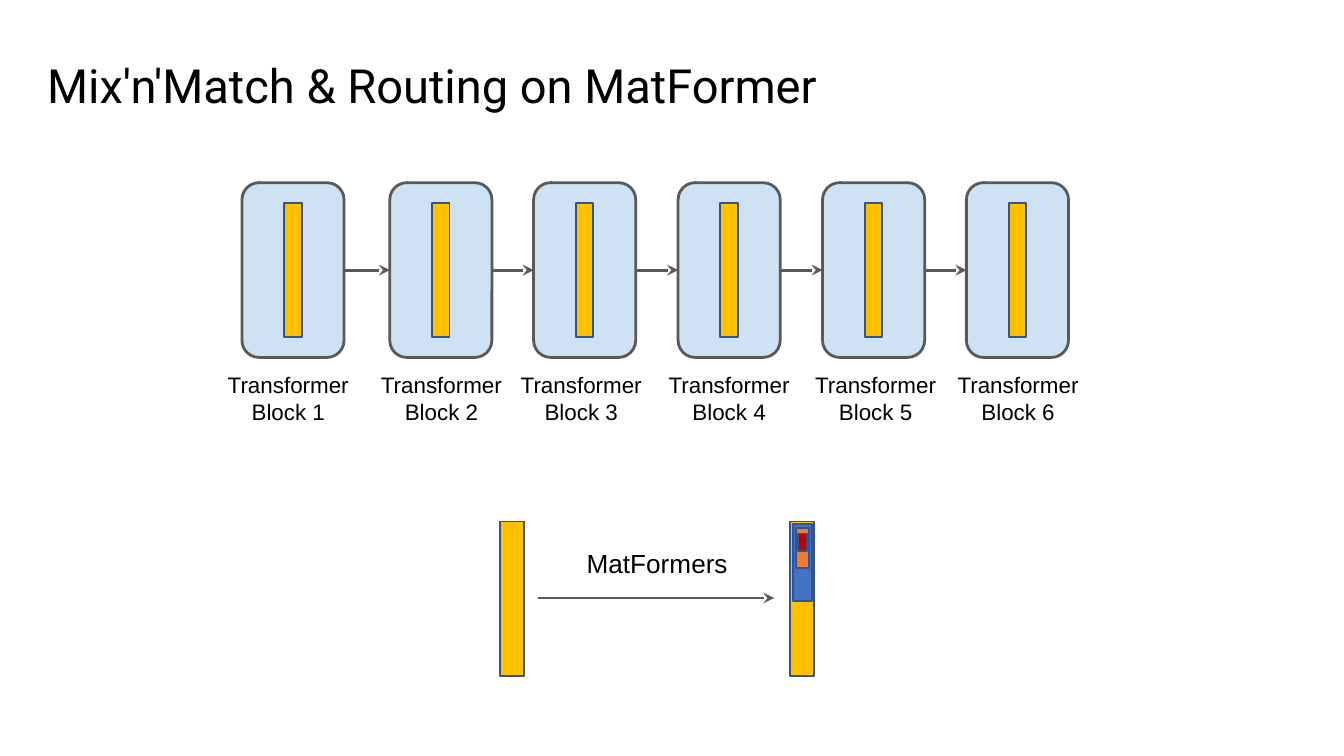
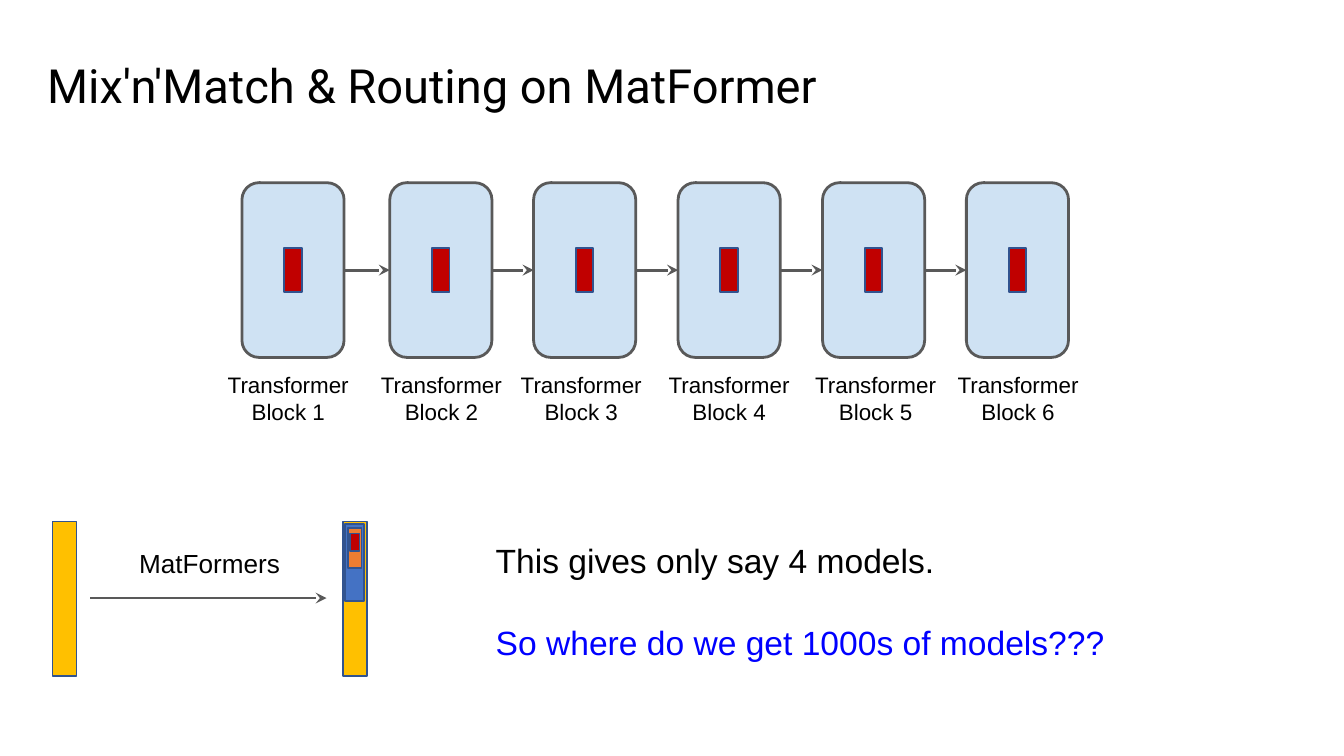
from itertools import pairwise
from typing import NamedTuple

from lxml.etree import SubElement
from pptx import Presentation
from pptx.dml.color import RGBColor
from pptx.enum.shapes import MSO_CONNECTOR as Connector, MSO_SHAPE as Preset
from pptx.enum.text import MSO_ANCHOR as Anchor, MSO_AUTO_SIZE as AutoSize, PP_ALIGN as Align
from pptx.oxml.ns import qn
from pptx.slide import Slide
from pptx.text.text import TextFrame
from pptx.util import Inches, Pt

SLIDE_WIDTH = Inches(10)
SLIDE_HEIGHT = SLIDE_WIDTH * 9 // 16
CELL = SLIDE_WIDTH / 100  # square grid, 100 columns wide

COLORS = {
    "text": "000000", "question": "0000FF",
    "block": "CFE2F3", "outline": "595959", "bar_edge": "31538F",
    "full": "FFC000", "large": "4472C4", "medium": "ED7D31", "small": "C00000",
}
TITLE = "Mix'n'Match & Routing on MatFormer"


class Area(NamedTuple):
    """A rectangle in grid columns and rows."""
    left: float
    top: float
    width: float
    height: float

    def emu(self) -> list[int]:
        return [cells(value) for value in self]


class Block(NamedTuple):
    center: float
    label_center: float


class Submodel(NamedTuple):
    """A nested bar, placed relative to the corner of the full bar."""
    color: str
    area: Area


BLOCKS = [
    Block(21.8, 21.45), Block(32.8, 32.85), Block(43.5, 43.25),
    Block(54.25, 54.25), Block(65, 65.15), Block(75.7, 75.75),
]
BLOCK_WIDTH, BLOCK_HEIGHT = 7.6, 13
BLOCK_MIDDLE = 20.1
LABEL_TOP, LABEL_WIDTH, LABEL_HEIGHT = 26.6, 11.5, 6.1
BAR_WIDTH = 1.3

LEGEND_TOP = 38.8
NESTED = [
    Submodel("full", Area(0, 0, 1.8, 11.5)),
    Submodel("large", Area(0.2, 0.2, 1.4, 5.7)),
    Submodel("medium", Area(0.4, 0.5, 1, 3)),
    Submodel("small", Area(0.55, 0.9, 0.7, 1.3)),
]


def cells(count: float) -> int:
    return round(count * CELL)


def rgb(name: str) -> RGBColor:
    return RGBColor.from_string(COLORS[name])


def write(frame: TextFrame, *lines: str, size: float, font: str = "Arial",
          colors: tuple[str, ...] = ("text",), align: Align = Align.LEFT,
          anchor: Anchor = Anchor.TOP, grow: bool = False, gap: float = 0) -> None:
    """Fill a frame, one paragraph a line; colors repeat over the lines."""
    frame.word_wrap = True
    frame.auto_size = AutoSize.SHAPE_TO_FIT_TEXT if grow else AutoSize.NONE
    frame.vertical_anchor = anchor
    frame.margin_left = frame.margin_right = cells(1)
    frame.margin_top = frame.margin_bottom = cells(1)
    for index, line in enumerate(lines):
        paragraph = frame.add_paragraph() if index else frame.paragraphs[0]
        paragraph.alignment = align
        if index:
            paragraph.space_before = Pt(gap)
        run = paragraph.add_run()
        run.text = line
        run.font.name, run.font.size = font, Pt(size)
        run.font.color.rgb = rgb(colors[index % len(colors)])


def add_text(slide: Slide, area: Area, *lines: str, **text_format) -> None:
    write(slide.shapes.add_textbox(*area.emu()).text_frame, *lines, **text_format)


def add_box(slide: Slide, area: Area, fill: str, edge: str = "bar_edge",
            weight: float = 1, preset: Preset = Preset.RECTANGLE, turn: float = 0) -> None:
    box = slide.shapes.add_shape(preset, *area.emu())
    box.shadow.inherit = False
    box.rotation = turn
    box.fill.solid()
    box.fill.fore_color.rgb = rgb(fill)
    box.line.color.rgb = rgb(edge)
    box.line.width = Pt(weight)


def add_arrow(slide: Slide, start: float, end: float, row: float) -> None:
    arrow = slide.shapes.add_connector(
        Connector.STRAIGHT, cells(start), cells(row), cells(end), cells(row))
    arrow.line.color.rgb = rgb("outline")
    arrow.line.width = Pt(1.5)
    SubElement(arrow.line._get_or_add_ln(), qn("a:tailEnd"), type="stealth")
    SubElement(arrow._element.spPr, qn("a:effectLst"))


def add_transformer(slide: Slide, bar_color: str, bar_height: float) -> None:
    for number, block in enumerate(BLOCKS, start=1):
        # The block lies on its side and is turned upright.
        add_box(slide, Area(block.center - BLOCK_HEIGHT / 2, BLOCK_MIDDLE - BLOCK_WIDTH / 2,
                            BLOCK_HEIGHT, BLOCK_WIDTH),
                "block", "outline", 1.5, Preset.ROUNDED_RECTANGLE, turn=90)
        add_box(slide, Area(block.center - BAR_WIDTH / 2, BLOCK_MIDDLE - bar_height / 2,
                            BAR_WIDTH, bar_height), bar_color)
        add_text(slide, Area(block.label_center - LABEL_WIDTH / 2, LABEL_TOP,
                             LABEL_WIDTH, LABEL_HEIGHT),
                 f"Transformer Block {number}", size=12, align=Align.CENTER, grow=True)
    for before, after in pairwise(BLOCKS):
        add_arrow(slide, before.center + BLOCK_WIDTH / 2,
                  after.center - BLOCK_WIDTH / 2, BLOCK_MIDDLE)


def add_legend(slide: Slide, left: float) -> None:
    """Show a plain bar turning into nested submodels."""
    full = NESTED[0]
    add_box(slide, full.area._replace(left=left, top=LEGEND_TOP), full.color)
    add_arrow(slide, left + 2.8, left + 20.4, 44.5)
    add_text(slide, Area(left + 4.6, 39.7, 14.2, 4.4), "MatFormers",
             size=14, align=Align.CENTER, anchor=Anchor.MIDDLE)
    for color, area in NESTED:
        add_box(slide, area._replace(left=left + 21.6 + area.left,
                                     top=LEGEND_TOP + area.top), color)


def add_routing_slide(deck: Presentation, bar_color: str, bar_height: float,
                      legend_left: float) -> Slide:
    slide = deck.slides.add_slide(deck.slide_layouts.get_by_name("Title Only"))
    heading = slide.shapes.title
    heading.left, heading.top, heading.width, heading.height = Area(2.5, 3.2, 93.2, 6.3).emu()
    write(heading.text_frame, TITLE, size=25.2, font="Roboto")
    add_transformer(slide, bar_color, bar_height)
    add_legend(slide, legend_left)
    return slide


def main() -> None:
    deck = Presentation()
    deck.slide_width, deck.slide_height = SLIDE_WIDTH, SLIDE_HEIGHT
    add_routing_slide(deck, "full", bar_height=10, legend_left=37.2)
    small_models = add_routing_slide(deck, "small", bar_height=3.3, legend_left=3.9)
    add_text(small_models, Area(35.9, 39.2, 64, 11.1),
             "This gives only say 4 models.", "So where do we get 1000s of models???",
             size=18, colors=("text", "question"), gap=22, grow=True)
    deck.save("out.pptx")


if __name__ == "__main__":
    main()
